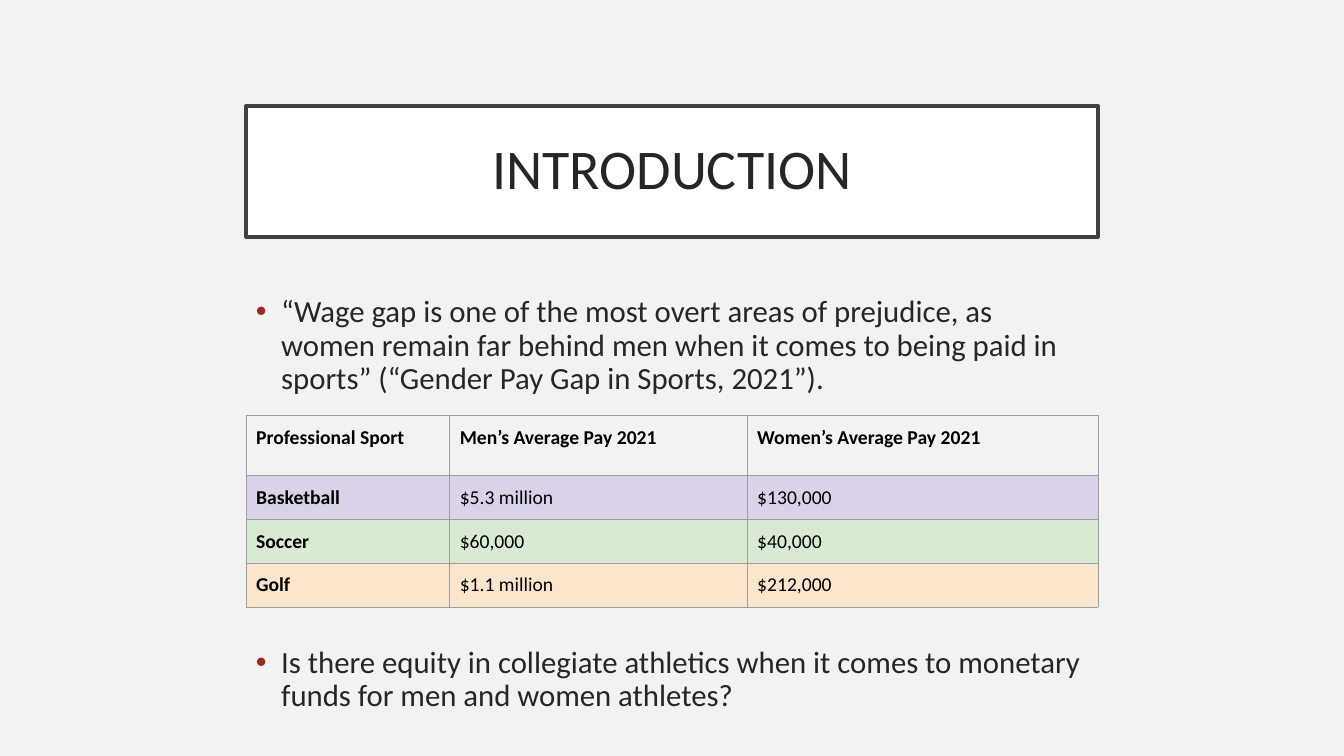
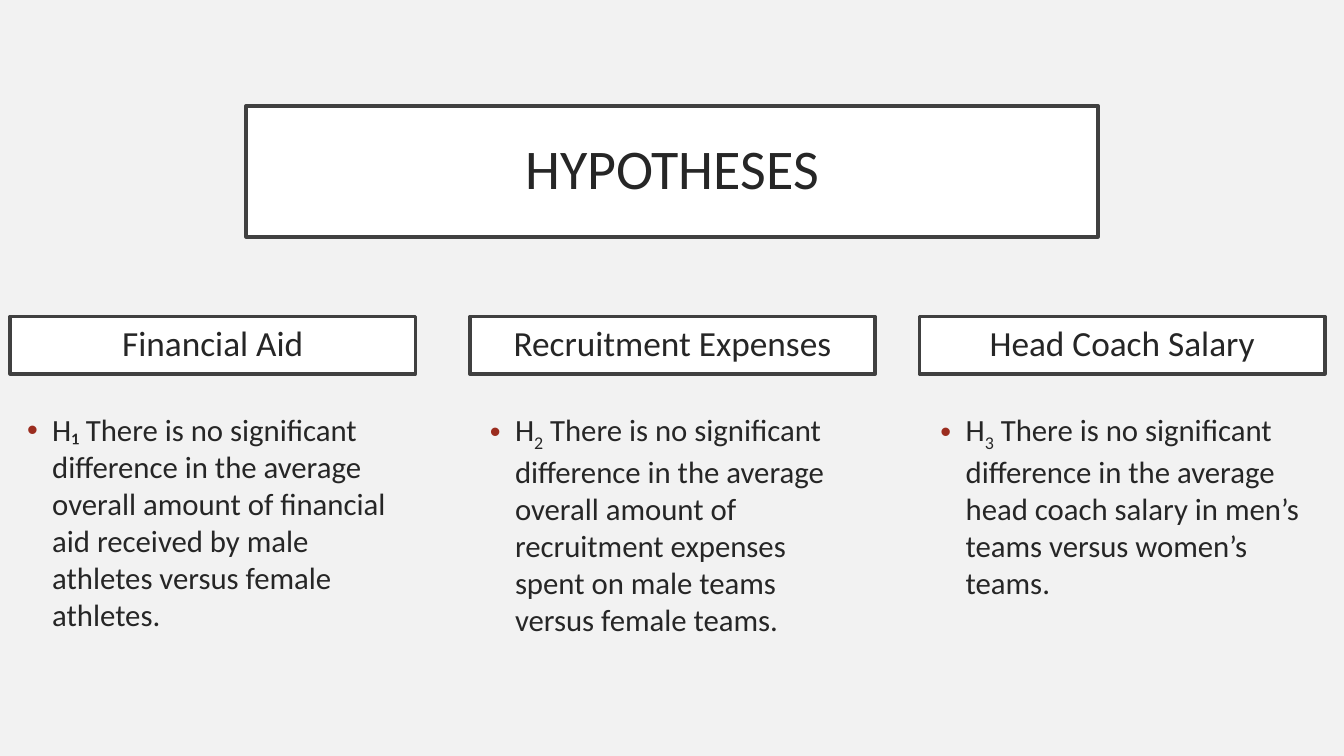
"""Build two slides on pay equity in sports."""
from dataclasses import dataclass

from lxml.etree import SubElement as Sub
from pptx import Presentation
from pptx.dml.color import RGBColor as Rgb
from pptx.enum.shapes import MSO_SHAPE as Kind
from pptx.enum.text import MSO_ANCHOR as Anchor, PP_ALIGN as Align
from pptx.oxml.ns import qn
from pptx.util import Inches, Pt


@dataclass(frozen=True)
class Theme:
    """Colours, type sizes and line widths of the deck."""
    font: str = "Calibri"
    back: str = "F2F2F2"
    panel: str = "FFFFFF"
    frame: str = "404040"
    ink: str = "262626"
    dot: str = "9B2D1F"
    grid: str = "9E9E9E"
    black: str = "000000"
    tints: tuple = (None, "D9D2E9", "D9EAD3", "FCE5CD")
    title: float = 40
    head: float = 25.2
    body: float = 22
    cell: float = 14
    edge: float = 2.5
    rule: float = 0.75


LOOK = Theme()
SIDES = ("left", "top", "right", "bottom")
TITLE = (2.44, 1.05, 8.45, 1.3)
BODY = (2.44, 2.89, 8.45, 4.38)
TABLE = (2.44, 4.12, 8.45, 1.89)
WIDTHS = (2.02, 2.95, 3.48)
HEIGHTS = (0.6, 0.43, 0.43, 0.43)
QUOTE = ("“Wage gap is one of the most overt areas of prejudice, as women "
         "remain far behind men when it comes to being paid in sports” "
         "(“Gender Pay Gap in Sports, 2021”).")
QUERY = ("Is there equity in collegiate athletics when it comes to monetary "
         "funds for men and women athletes?")
PAY = (
    ("Professional Sport", "Men’s Average Pay 2021", "Women’s Average Pay 2021"),
    ("Basketball", "$5.3 million", "$130,000"),
    ("Soccer", "$60,000", "$40,000"),
    ("Golf", "$1.1 million", "$212,000"),
)
STEM = " There is no significant difference in the average "
CLAIMS = (
    (0.1, 0.17, "Financial Aid", ("H₁" + STEM + "overall amount of financial "
     "aid received by male athletes versus female athletes.",)),
    (4.66, 4.76, "Recruitment Expenses", ("H", "2", STEM + "overall amount of "
     "recruitment expenses spent on male teams versus female teams.")),
    (9.12, 9.23, "Head Coach Salary", ("H", "3", STEM + "head coach salary in "
     "men’s teams versus women’s teams.")),
)


def style(item, **form):
    """Set each format value on the item."""
    for name, value in form.items():
        setattr(item, name, value)


def pads(wide, high):
    """Give the four margins as format values."""
    sizes = (wide, high, wide, high)
    return {"margin_" + side: Inches(size) for side, size in zip(SIDES, sizes)}


def write(para, text, size, tone=LOOK.ink, bold=False):
    """Add a run of text and return it."""
    run = para.add_run()
    run.text = text
    style(run.font, name=LOOK.font, size=Pt(size), bold=bold)
    run.font.color.rgb = Rgb.from_string(tone)
    return run


def panel(slide, box, text, size):
    """Draw a framed white panel with centred text."""
    shape = slide.shapes.add_shape(Kind.RECTANGLE, *map(Inches, box))
    shape.shadow.inherit = False
    shape.fill.solid()
    shape.fill.fore_color.rgb = Rgb.from_string(LOOK.panel)
    shape.line.color.rgb = Rgb.from_string(LOOK.frame)
    shape.line.width = Pt(LOOK.edge)
    frame = shape.text_frame
    style(frame, word_wrap=True, vertical_anchor=Anchor.MIDDLE, **pads(0.2, 0.2))
    para = frame.paragraphs[0]
    style(para, alignment=Align.CENTER, line_spacing=0.9)
    write(para, text, size)


def bullet(para):
    """Give the paragraph a coloured bullet and hanging indent."""
    props = para._p.get_or_add_pPr()
    props.set("marL", str(Inches(0.25)))
    props.set("indent", str(-Inches(0.25)))
    tone = Sub(props, qn("a:buClr"))
    Sub(tone, qn("a:srgbClr"), val=LOOK.dot)
    Sub(props, qn("a:buFont"), typeface="Arial")
    Sub(props, qn("a:buChar"), char="•")


def points(slide, box, items, lead=1.0, gap=0):
    """Write bulleted items, each a row of runs with a digit as subscript."""
    frame = slide.shapes.add_textbox(*map(Inches, box)).text_frame
    style(frame, word_wrap=True, **pads(0.1, 0.05))
    for i, parts in enumerate(items):
        para = frame.add_paragraph() if i else frame.paragraphs[0]
        style(para, line_spacing=lead, space_before=Pt(gap if i else 0))
        bullet(para)
        for part in parts:
            run = write(para, part, LOOK.body)
            if part.isdigit():
                run.font._element.set("baseline", "-25000")


def borders(cell):
    """Rule all four sides of a cell."""
    props = cell._tc.get_or_add_tcPr()
    for i, tag in enumerate(("a:lnL", "a:lnR", "a:lnT", "a:lnB")):
        line = Sub(props, qn(tag), w=str(Pt(LOOK.rule)))
        fill = Sub(line, qn("a:solidFill"))
        Sub(fill, qn("a:srgbClr"), val=LOOK.grid)
        props.insert(i, line)


def chart(slide, box, rows):
    """Lay out the pay table with one tint for each row."""
    table = slide.shapes.add_table(
        len(rows), len(WIDTHS), *map(Inches, box)).table
    style(table, first_row=False, horz_banding=False)
    for col, width in zip(table.columns, WIDTHS):
        col.width = Inches(width)
    for r, (row, high, tint) in enumerate(zip(rows, HEIGHTS, LOOK.tints)):
        table.rows[r].height = Inches(high)
        for c, text in enumerate(row):
            cell = table.cell(r, c)
            style(cell, **pads(0.1, 0.1))
            if tint:
                cell.fill.solid()
                cell.fill.fore_color.rgb = Rgb.from_string(tint)
            else:
                cell.fill.background()
            borders(cell)
            write(cell.text_frame.paragraphs[0], text, LOOK.cell,
                  LOOK.black, r == 0 or c == 0)


def start(deck, title):
    """Add a blank slide with its title panel."""
    slide = deck.slides.add_slide(deck.slide_layouts[6])
    panel(slide, TITLE, title, LOOK.title)
    return slide


def intro(deck):
    """Build the slide with the quote, the table and the question."""
    slide = start(deck, "INTRODUCTION")
    points(slide, BODY, ((QUOTE,), (QUERY,)), 0.9, 179)
    chart(slide, TABLE, PAY)


def claims(deck):
    """Build the slide with three columns of hypotheses."""
    slide = start(deck, "HYPOTHESES")
    for left, inset, head, parts in CLAIMS:
        panel(slide, (left, 3.14, 4.02, 0.57), head, LOOK.head)
        points(slide, (inset, 4.03, 3.8, 3.4), (parts,))


def main():
    """Build and save the deck."""
    deck = Presentation()
    style(deck, slide_width=Inches(13.33), slide_height=Inches(7.5))
    fill = deck.slide_master.background.fill
    fill.solid()
    fill.fore_color.rgb = Rgb.from_string(LOOK.back)
    intro(deck)
    claims(deck)
    deck.save("out.pptx")


main()
